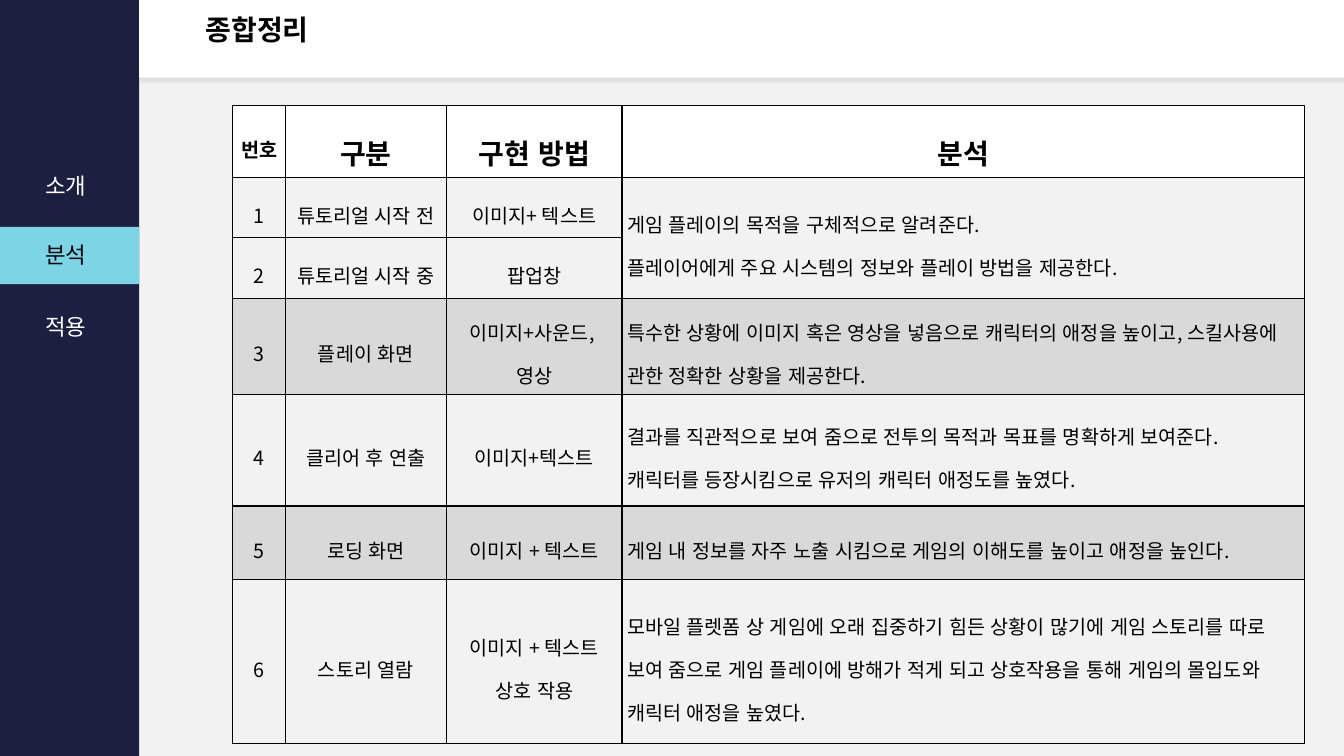
from lxml import etree
from pptx import Presentation
from pptx.dml.color import RGBColor
from pptx.enum.lang import MSO_LANGUAGE_ID
from pptx.enum.shapes import MSO_SHAPE
from pptx.enum.text import MSO_ANCHOR, PP_ALIGN
from pptx.oxml.ns import qn
from pptx.util import Inches, Pt

RECTANGLE = MSO_SHAPE.RECTANGLE
MIDDLE = MSO_ANCHOR.MIDDLE
LEFT, CENTER = PP_ALIGN.LEFT, PP_ALIGN.CENTER
KOREAN = MSO_LANGUAGE_ID.KOREAN

BLACK, WHITE = "000000", "FFFFFF"
NAVY, CYAN, INK = "1B2040", "7DD4E5", "05060B"
PAGE_GRAY, ROW_GRAY = "F2F2F2", "D9D9D9"
HEADING_FONT, TABLE_FONT = "Arial", "Noto Sans CJK KR"

TITLE = "종합정리"
MENU = [("소개", 1.66, WHITE), ("적용", 3.06, WHITE), ("분석", 2.34, INK)]
COLUMN_WIDTHS = [0.52, 1.6, 1.74, 6.77]
RIGHT_MARGINS = [0.05, 0.05, 0.05, 0.13]
ROW_HEIGHTS = [0.71, 0.6, 0.6, 0.95, 1.11, 0.73, 1.63]
HEADER_SIZES = [14, 20, 20, 20]
ROW_FILLS = {0: WHITE, 3: ROW_GRAY, 5: ROW_GRAY}
ROWS = [
    ("번호", "구분", "구현 방법", "분석"),
    ("1", "튜토리얼 시작 전", "이미지+ 텍스트",
     "게임 플레이의 목적을 구체적으로 알려준다.\n"
     "플레이어에게 주요 시스템의 정보와 플레이 방법을 제공한다."),
    ("2", "튜토리얼 시작 중", "팝업창", None),
    ("3", "플레이 화면", "이미지+사운드, \n영상",
     "특수한 상황에 이미지 혹은 영상을 넣음으로 캐릭터의 애정을 높이고, "
     "스킬사용에 관한 정확한 상황을 제공한다."),
    ("4", "클리어 후 연출", "이미지+텍스트",
     "결과를 직관적으로 보여 줌으로 전투의 목적과 목표를 명확하게 보여준다.\n"
     "캐릭터를 등장시킴으로 유저의 캐릭터 애정도를 높였다."),
    ("5", "로딩 화면", "이미지 + 텍스트",
     "게임 내 정보를 자주 노출 시킴으로 게임의 이해도를 높이고 애정을 높인다."),
    ("6", "스토리 열람", "이미지 + 텍스트\n상호 작용",
     "모바일 플렛폼 상 게임에 오래 집중하기 힘든 상황이 많기에 게임 스토리를 따로 "
     "보여 줌으로 게임 플레이에 방해가 적게 되고 상호작용을 통해 게임의 몰입도와 "
     "캐릭터 애정을 높였다."),
]


def paint(fill, color):
    fill.solid()
    fill.fore_color.rgb = RGBColor.from_string(color)


def style(paragraph, size, color, name, bold=False):
    font = paragraph.font
    font.size = Pt(size)
    font.bold = bold
    font.name = name
    font.language_id = KOREAN
    paint(font.fill, color)


def add_bar(page, left, top, width, height, color):
    bar = page.shapes.add_shape(
        RECTANGLE, Inches(left), Inches(top), Inches(width), Inches(height))
    bar.shadow.inherit = False
    paint(bar.fill, color)
    bar.line.fill.background()
    return bar


def add_drop_shadow(shape):
    effects = shape._element.spPr.find(qn("a:effectLst"))
    shadow = etree.SubElement(effects, qn("a:outerShdw"), blurRad=str(Pt(2)),
                              dist=str(Pt(2)), dir="5400000", algn="t", rotWithShape="0")
    color = etree.SubElement(shadow, qn("a:srgbClr"), val=BLACK)
    etree.SubElement(color, qn("a:alpha"), val="8000")


def add_label(page, text, left, top, width, height, size, color, wrap=False, bold=False):
    box = page.shapes.add_textbox(Inches(left), Inches(top), Inches(width), Inches(height))
    box.text_frame.word_wrap = wrap
    para = box.text_frame.paragraphs[0]
    para.text = text
    style(para, size, color, HEADING_FONT, bold)
    return para


def add_borders(cell):
    properties = cell._tc.get_or_add_tcPr()
    for index, side in enumerate(("lnL", "lnR", "lnT", "lnB")):
        line = etree.Element(qn("a:" + side), w=str(Pt(1)))
        fill = etree.SubElement(line, qn("a:solidFill"))
        etree.SubElement(fill, qn("a:srgbClr"), val=BLACK)
        properties.insert(index, line)


def fill_cell(cell, text, row, column):
    cell.vertical_anchor = MIDDLE
    cell.margin_left = cell.margin_top = cell.margin_bottom = Inches(0.05)
    cell.margin_right = Inches(RIGHT_MARGINS[column])
    if row in ROW_FILLS:
        paint(cell.fill, ROW_FILLS[row])
    else:
        cell.fill.background()
    add_borders(cell)
    if text is None:
        return
    cell.text = text
    header = row == 0
    if header:
        cell.margin_right = Inches(0.05)
    for para in cell.text_frame.paragraphs:
        para.alignment = CENTER if header or column < 3 else LEFT
        para.line_spacing = 1.5
        style(para, HEADER_SIZES[column] if header else 14, BLACK, TABLE_FONT, header)
        defaults = para._p.pPr.find(qn("a:defRPr"))
        etree.SubElement(defaults, qn("a:ea"), typeface=TABLE_FONT)


def add_summary(page):
    frame = page.shapes.add_table(
        len(ROWS), len(COLUMN_WIDTHS), Inches(2.31), Inches(1.05),
        Inches(sum(COLUMN_WIDTHS)), Inches(sum(ROW_HEIGHTS)))
    table = frame.table
    table.first_row = table.horz_banding = False
    for column, width in zip(table.columns, COLUMN_WIDTHS):
        column.width = Inches(width)
    for row, height in zip(table.rows, ROW_HEIGHTS):
        row.height = Inches(height)
    table.cell(1, 3).merge(table.cell(2, 3))
    for row, texts in enumerate(ROWS):
        for column, text in enumerate(texts):
            fill_cell(table.cell(row, column), text, row, column)


def main():
    deck = Presentation()
    deck.slide_width, deck.slide_height = Inches(13.33), Inches(7.5)
    page = deck.slides.add_slide(deck.slide_layouts[6])
    paint(page.background.fill, PAGE_GRAY)

    add_bar(page, 0, 0, 1.38, 7.5, NAVY)
    add_drop_shadow(add_bar(page, 1.38, 0, 11.95, 0.77, WHITE))
    add_bar(page, 0, 2.25, 1.38, 0.57, CYAN)
    for text, top, color in MENU:
        add_label(page, text, 0.35, top, 0.65, 0.37, 16, color)
    title = add_label(page, TITLE, 1.94, 0.11, 10.09, 0.49, 20, BLACK, wrap=True, bold=True)
    title.line_spacing = 0.9
    add_summary(page)
    deck.save("out.pptx")


if __name__ == "__main__":
    main()
